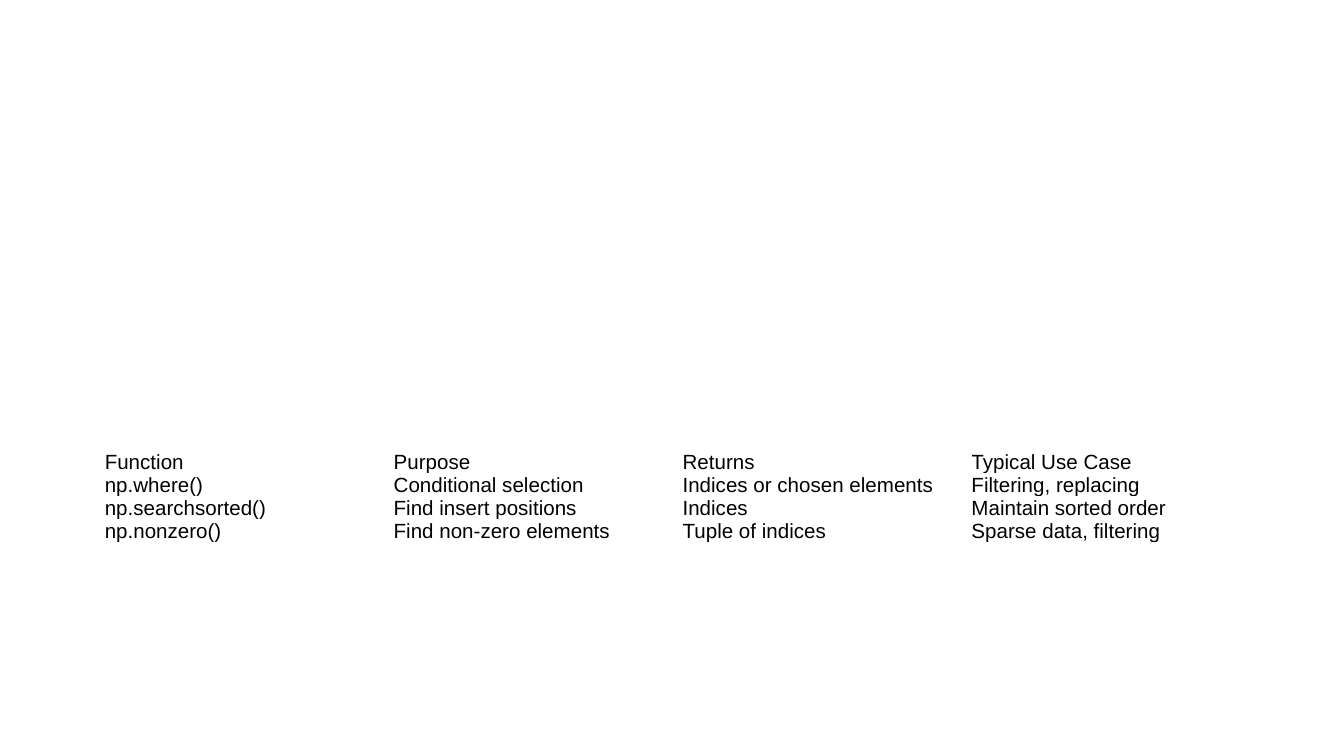
from pptx import Presentation
from pptx.dml.color import RGBColor
from pptx.enum.text import MSO_ANCHOR
from pptx.util import Cm, Pt

ROWS = [
    ("Function", "Purpose", "Returns", "Typical Use Case"),
    ("np.where()", "Conditional selection", "Indices or chosen elements", "Filtering, replacing"),
    ("np.searchsorted()", "Find insert positions", "Indices", "Maintain sorted order"),
    ("np.nonzero()", "Find non-zero elements", "Tuple of indices", "Sparse data, filtering"),
]
LEFT, TOP, WIDTH = 1.98, 8.53, 21.84


def color(code):
    return RGBColor.from_string(code)


def write(cell, text, size=11, font="Arial", ink="000000"):
    cell.fill.background()
    cell.vertical_anchor = MSO_ANCHOR.MIDDLE
    cell.margin_left = cell.margin_right = cell.margin_top = cell.margin_bottom = 0
    run = cell.text_frame.paragraphs[0].add_run()
    run.text = text
    run.font.size = Pt(size)
    run.font.name = font
    run.font.bold = False
    run.font.color.rgb = color(ink)


def main():
    """Build a slide with a table of NumPy search functions."""
    deck = Presentation()
    deck.slide_width, deck.slide_height = Cm(25.4), Cm(14.29)
    slide = deck.slides.add_slide(deck.slide_layouts[6])
    frame = slide.shapes.add_table(
        len(ROWS), len(ROWS[0]), Cm(LEFT), Cm(TOP), Cm(WIDTH), Cm(0)
    )
    table = frame.table
    table.first_row = table.horz_banding = False
    for r, row in enumerate(ROWS):
        for c, text in enumerate(row):
            write(table.cell(r, c), text)
    deck.save("out.pptx")


if __name__ == "__main__":
    main()
